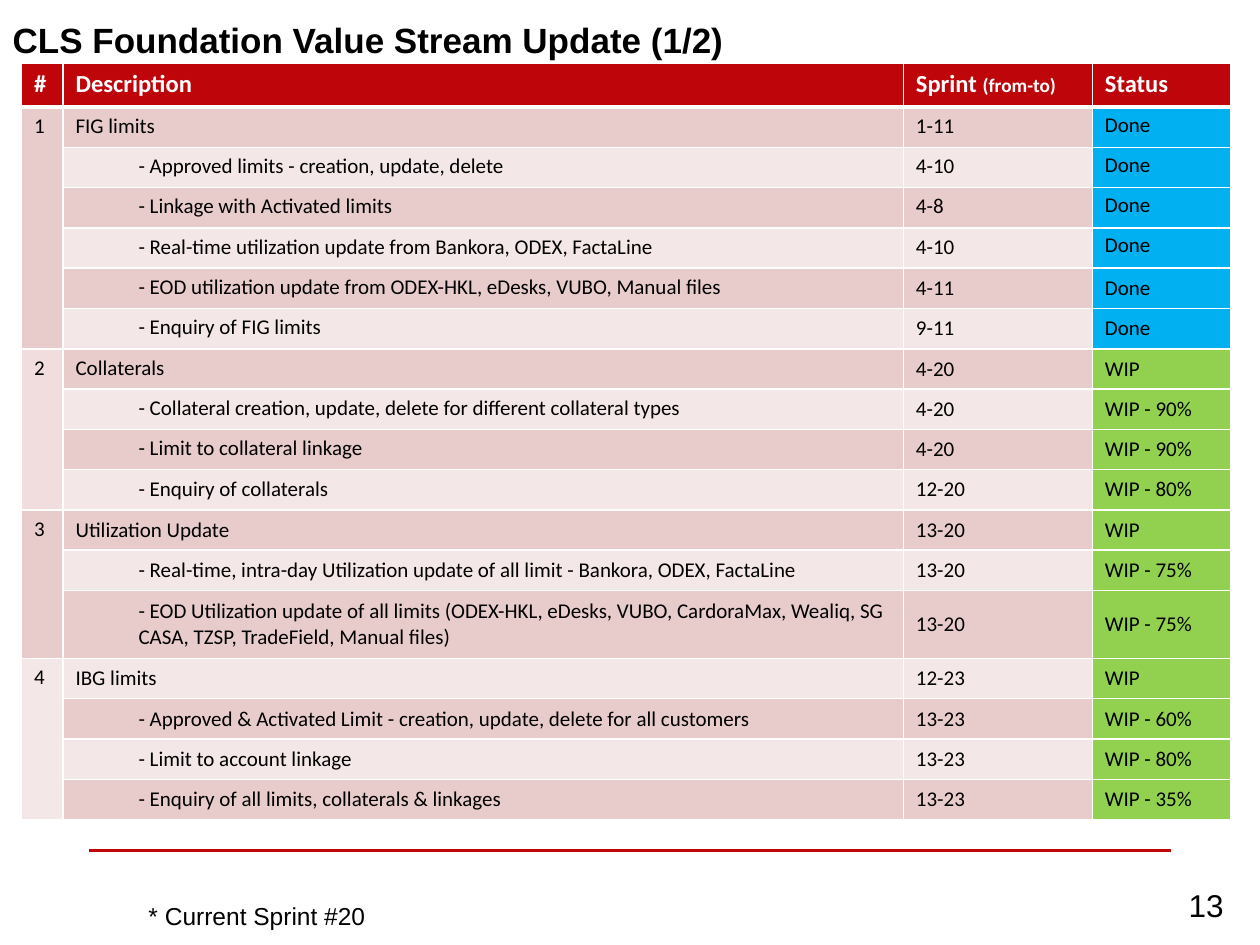
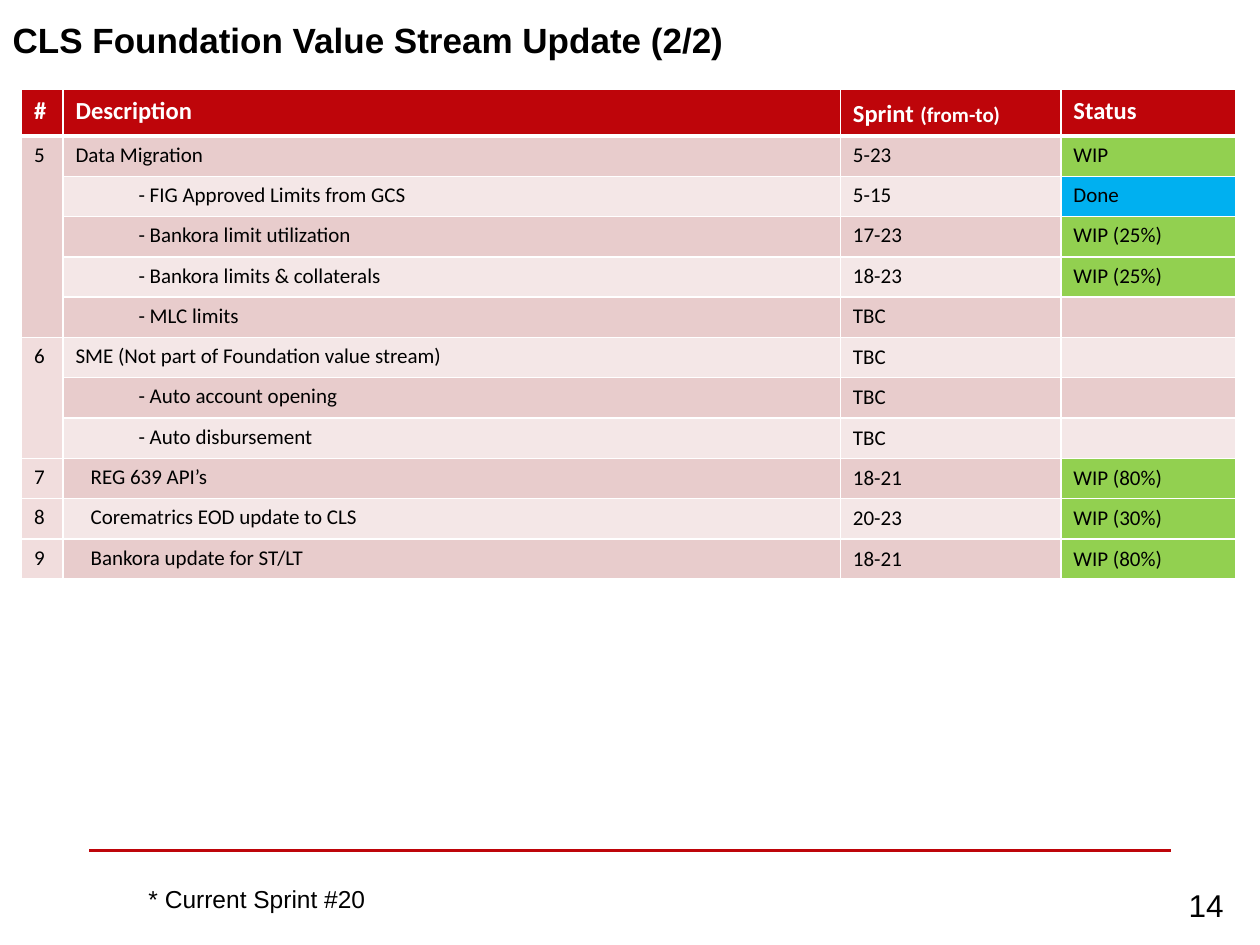
from lxml.etree import SubElement
from pptx import Presentation
from pptx.dml.color import RGBColor
from pptx.enum.shapes import MSO_CONNECTOR
from pptx.enum.text import MSO_ANCHOR, PP_ALIGN
from pptx.oxml.ns import qn
from pptx.util import Inches, Pt

# Shared look
RED, BLACK, WHITE = "BE050A", "000000", "FFFFFF"
BANDS = ["E8CCCC", "F4E7E7"]
NUMBER_TINT = "F1DDDD"
STATUS_COLOURS = {"Done": "00B0F0", "WIP": "92D050"}
TITLE_FONT = {"name": "Arial", "size": Pt(20), "bold": True}
NOTE_FONT = {"name": "Arial", "size": Pt(14), "bold": False}
PAGE_FONT = {"name": "Arial", "size": Pt(18), "bold": False}
HEAD_FONT = {"name": "Calibri", "size": Pt(14), "bold": True}
BODY_FONT = {"name": "Calibri", "size": Pt(12), "bold": False}
ROW_HEIGHT, TALL_ROW_HEIGHT = 0.32, 0.54

# Content: groups of (description, sprint, status) under one number.
# "middle_from" is the first vertically centred row of each column.
updates = [
    {
        "title": "CLS Foundation Value Stream Update (1/2)",
        "page": "13", "note_top": 7.1, "table_top": 0.5,
        "columns": [0.33, 6.67, 1.5, 1.1], "head_height": 0.35,
        "range_size": 11, "middle_from": [99, 10, 5, 5],
        "raised_status_rows": range(1, 5), "tall_rows": [13],
        "tinted": ["2"],
        "groups": {
            "1": [
                ("FIG limits", "1-11", "Done"),
                ("- Approved limits - creation, update, delete", "4-10", "Done"),
                ("- Linkage with Activated limits", "4-8", "Done"),
                ("- Real-time utilization update from Bankora, ODEX, FactaLine", "4-10", "Done"),
                ("- EOD utilization update from ODEX-HKL, eDesks, VUBO, Manual files", "4-11", "Done"),
                ("- Enquiry of FIG limits", "9-11", "Done"),
            ],
            "2": [
                ("Collaterals", "4-20", "WIP"),
                ("- Collateral creation, update, delete for different collateral types", "4-20", "WIP - 90%"),
                ("- Limit to collateral linkage", "4-20", "WIP - 90%"),
                ("- Enquiry of collaterals", "12-20", "WIP - 80%"),
            ],
            "3": [
                ("Utilization Update", "13-20", "WIP"),
                ("- Real-time, intra-day Utilization update of all limit - Bankora, ODEX, FactaLine",
                 "13-20", "WIP - 75%"),
                ("- EOD Utilization update of all limits (ODEX-HKL, eDesks, VUBO, CardoraMax, Wealiq, SG "
                 "CASA, TZSP, TradeField, Manual files)", "13-20", "WIP - 75%"),
            ],
            "4": [
                ("IBG limits", "12-23", "WIP"),
                ("- Approved & Activated Limit - creation, update, delete for all customers",
                 "13-23", "WIP - 60%"),
                ("- Limit to account linkage", "13-23", "WIP - 80%"),
                ("- Enquiry of all limits, collaterals & linkages", "13-23", "WIP - 35%"),
            ],
        },
    },
    {
        "title": "CLS Foundation Value Stream Update (2/2)",
        "page": "14", "note_top": 6.97, "table_top": 0.71,
        "columns": [0.33, 6.17, 1.75, 1.39], "head_height": 0.37,
        "range_size": 12, "middle_from": [99, 99, 6, 6],
        "raised_status_rows": [], "tall_rows": [],
        "tinted": ["6", "7", "8", "9"],
        "groups": {
            "5": [
                ("Data Migration", "5-23", "WIP"),
                ("- FIG Approved Limits from GCS", "5-15", "Done"),
                ("- Bankora limit utilization", "17-23", "WIP (25%)"),
                ("- Bankora limits & collaterals", "18-23", "WIP (25%)"),
                ("- MLC limits", "TBC", ""),
            ],
            "6": [
                ("SME (Not part of Foundation value stream)", "TBC", ""),
                ("- Auto account opening", "TBC", ""),
                ("- Auto disbursement", "TBC", ""),
            ],
            "7": [("REG 639 API’s", "18-21", "WIP (80%)")],
            "8": [("Corematrics EOD update to CLS", "20-23", "WIP (30%)")],
            "9": [("Bankora update for ST/LT", "18-21", "WIP (80%)")],
        },
    },
]


def paint(fill, colour):
    fill.solid()
    fill.fore_color.rgb = RGBColor.from_string(colour)


def write(paragraph, text, font, colour=BLACK):
    run = paragraph.add_run()
    run.text = text
    for attribute, value in font.items():
        setattr(run.font, attribute, value)
    paint(run.font.fill, colour)


prs = Presentation()
prs.slide_width, prs.slide_height = Inches(10), Inches(7.5)
title_only = prs.slide_layouts[5]

for update in updates:
    slide = prs.slides.add_slide(title_only)

    # Title
    title = slide.shapes.title
    title.left, title.top = Inches(0), Inches(0)
    title.width, title.height = Inches(8.42), Inches(0.63)
    title.text_frame.vertical_anchor = MSO_ANCHOR.MIDDLE
    title.text_frame.paragraphs[0].alignment = PP_ALIGN.LEFT
    write(title.text_frame.paragraphs[0], update["title"], TITLE_FONT)

    # Footer rule
    rule = slide.shapes.add_connector(
        MSO_CONNECTOR.STRAIGHT, Inches(0.71), Inches(6.75), Inches(9.29), Inches(6.75))
    paint(rule.line.fill, RED)
    rule.line.width = Pt(1.5)
    SubElement(rule._element.spPr, qn("a:effectLst"))

    # Page number
    page = slide.shapes.add_textbox(Inches(8.64), Inches(6.97), Inches(1.17), Inches(0.42)).text_frame
    page.word_wrap = True
    page.vertical_anchor = MSO_ANCHOR.MIDDLE
    page.paragraphs[0].alignment = PP_ALIGN.RIGHT
    write(page.paragraphs[0], update["page"], PAGE_FONT)

    # Table frame
    groups = update["groups"]
    row_count = 1 + sum(len(items) for items in groups.values())
    table = slide.shapes.add_table(
        row_count, 4, Inches(0.17), Inches(update["table_top"]),
        Inches(sum(update["columns"])), Inches(ROW_HEIGHT * row_count)).table
    for column, width in zip(table.columns, update["columns"]):
        column.width = Inches(width)
    for index, row in enumerate(table.rows):
        row.height = Inches(TALL_ROW_HEIGHT if index in update["tall_rows"] else ROW_HEIGHT)
    table.rows[0].height = Inches(update["head_height"])

    # Header row
    for index, heading in enumerate(["#", "Description", "Sprint", "Status"]):
        cell = table.cell(0, index)
        paint(cell.fill, RED)
        heading_line = cell.text_frame.paragraphs[0]
        write(heading_line, heading, HEAD_FONT, WHITE)
        if heading == "Sprint":
            gap_size = 16 if update["range_size"] == 12 else 14
            write(heading_line, " ", HEAD_FONT | {"size": Pt(gap_size)}, WHITE)
            write(heading_line, "(from-to)", HEAD_FONT | {"size": Pt(update["range_size"])}, WHITE)

    # Body rows
    row_index = 1
    for number, items in groups.items():
        first_row = row_index
        number_fill = NUMBER_TINT if number in update["tinted"] else BANDS[(first_row - 1) % 2]
        for description, sprint, status in items:
            band = BANDS[(row_index - 1) % 2]
            status_fill = STATUS_COLOURS.get(status.split(" ")[0], band)
            texts = [number if row_index == first_row else "", description, sprint, status]
            fills = [number_fill, band, band, status_fill]
            for index, (text, fill) in enumerate(zip(texts, fills)):
                cell = table.cell(row_index, index)
                paint(cell.fill, fill)
                entry = cell.text_frame.paragraphs[0]
                if text:
                    write(entry, text, BODY_FONT)
                else:
                    SubElement(entry._p, qn("a:endParaRPr"), sz="1200")
                if row_index >= update["middle_from"][index]:
                    cell.vertical_anchor = MSO_ANCHOR.MIDDLE
            indent = 0.5 if description.startswith("- ") else 0.12 if len(items) == 1 else 0
            properties = table.cell(row_index, 1).text_frame.paragraphs[0]._p.get_or_add_pPr()
            properties.set("marL", str(Inches(indent)))
            properties.set("indent", "0")
            if row_index in update["raised_status_rows"]:
                table.cell(row_index, 3).margin_top = Inches(0.04)
            row_index += 1
        if len(items) > 1:
            table.cell(first_row, 0).merge(table.cell(row_index - 1, 0))

    # White cell borders, thicker under the header
    for index in range(row_count):
        widths = {"a:lnL": 1, "a:lnR": 1, "a:lnT": 3 if index == 1 else 1, "a:lnB": 3 if index == 0 else 1}
        for cell in table.rows[index].cells:
            cell_properties = cell._tc.get_or_add_tcPr()
            for position, (side, width) in enumerate(widths.items()):
                border = SubElement(cell_properties, qn(side), w=str(Pt(width)))
                SubElement(SubElement(border, qn("a:solidFill")), qn("a:srgbClr"), val=WHITE)
                cell_properties.insert(position, border)

    # Sprint note
    note = slide.shapes.add_textbox(
        Inches(1.08), Inches(update["note_top"]), Inches(6.83), Inches(0.34)).text_frame
    note.word_wrap = True
    write(note.paragraphs[0], "* Current Sprint #20", NOTE_FONT)

prs.save("out.pptx")
